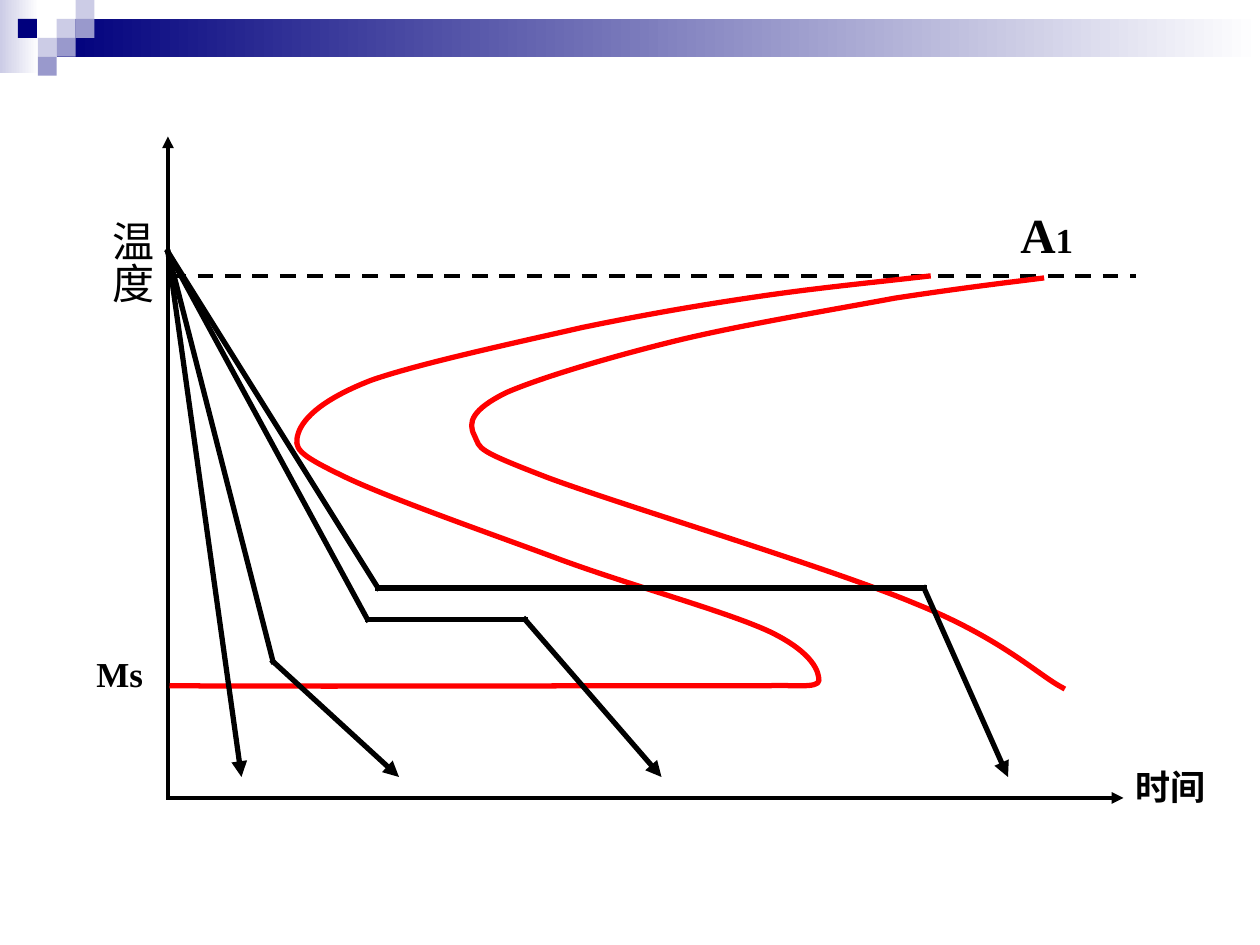
from itertools import pairwise

from lxml.etree import SubElement
from pptx import Presentation
from pptx.dml.color import RGBColor
from pptx.enum.dml import MSO_LINE
from pptx.enum.shapes import MSO_CONNECTOR, MSO_SHAPE
from pptx.enum.text import MSO_AUTO_SIZE
from pptx.oxml.ns import qn
from pptx.util import Inches, Pt

BLACK = RGBColor(0x00, 0x00, 0x00)
WHITE = RGBColor(0xFF, 0xFF, 0xFF)
RED = RGBColor(0xFF, 0x00, 0x00)
NAVY = RGBColor(0x00, 0x00, 0x7D)
LILAC = RGBColor(0xCC, 0xCC, 0xE6)
VIOLET = RGBColor(0x99, 0x99, 0xCC)

COLS = 120
TILE = 1.8
FONT = "Times New Roman"

TILES = [(3, 1, LILAC), (4, 0, LILAC), (4, 1, VIOLET), (2, 2, LILAC),
         (0.95, 1, NAVY), (3, 2, VIOLET), (2, 3, VIOLET)]

START_CURVE = [
    (88.4, 26.3),
    (83.2, 26.9), (78, 27.4), (72.5, 28.2),
    (67, 29), (61.7, 29.9), (55.4, 31.2),
    (49.3, 32.6), (40, 34.6), (35.4, 36.2),
    (31, 37.9), (28.9, 39.7), (28.4, 41.3),
    (28, 42.7), (28.3, 43.2), (32.4, 45.2),
    (36.6, 47.3), (46.7, 50.8), (53.4, 53.3),
    (60.2, 55.8), (69.4, 58.3), (73.4, 60.2),
    (77.5, 62.2), (78, 64), (78, 64.8),
    (78, 65.6), (75.2, 65.2), (73.4, 65.3),
    (71.8, 65.3), (76.9, 65.3), (67.4, 65.3),
    (58, 65.3), (25, 65.4), (16.4, 65.3)]
FINISH_CURVE = [
    (99.2, 26.5),
    (95.2, 27), (91.1, 27.5), (85.2, 28.4),
    (79.3, 29.5), (70.3, 31), (64.2, 32.5),
    (58.1, 34), (51.4, 36), (48.2, 37.4),
    (45, 39), (44.5, 40.2), (45.2, 41.5),
    (45.8, 42.8), (45.2, 42.8), (52.2, 45.5),
    (59.2, 48.1), (79.1, 54.1), (87.2, 57.5),
    (95.4, 60.8), (98.9, 64.3), (101.2, 65.5)]

COOLING_START = (16, 24)
COOLING_PATHS = [
    [(23, 74)],
    [(26, 63), (38, 74)],
    [(35, 59), (50, 59), (63, 74)],
    [(36, 56), (88, 56), (96, 74)]]


class Diagram:
    """Draws styled elements on one slide laid out as a grid of cells."""

    def __init__(self, prs):
        self.s = prs.slides.add_slide(prs.slide_layouts[6])
        self.cell = prs.slide_width / COLS

    def emu(self, *cells):
        return [round(c * self.cell) for c in cells]

    def rect(self, x, y, w, h, color, fade=False):
        sp = self.s.shapes.add_shape(MSO_SHAPE.RECTANGLE, *self.emu(x, y, w, h))
        sp.shadow.inherit = False
        sp.line.fill.background()
        if fade:
            sp.fill.gradient()
            sp.fill.gradient_angle = 0
            for stop, rgb in zip(sp.fill.gradient_stops, (color, WHITE)):
                stop.color.rgb = rgb
        else:
            sp.fill.solid()
            sp.fill.fore_color.rgb = color

    def stroke(self, line, color, width, dash=None):
        line.color.rgb = color
        line.width = Pt(width)
        if dash:
            line.dash_style = dash
        else:
            line._get_or_add_ln().set("cap", "sq")

    def line(self, start, end, width=3, arrow=False, dash=None):
        cx = self.s.shapes.add_connector(
            MSO_CONNECTOR.STRAIGHT, *self.emu(*start, *end))
        self.stroke(cx.line, BLACK, width, dash)
        if arrow:
            SubElement(cx.line._get_or_add_ln(), qn("a:tailEnd"), type="triangle")
        SubElement(cx._element.spPr, qn("a:effectLst"))

    def polyline(self, points):
        for start, end in pairwise(points):
            self.line(start, end, arrow=end == points[-1])

    def curve(self, points):
        first, *rest = [self.emu(*point) for point in points]
        builder = self.s.shapes.build_freeform(*first)
        builder.add_line_segments(rest, close=False)
        sp = builder.convert_to_shape()
        segments = list(sp._element.iter(qn("a:lnTo")))
        for i in range(0, len(segments), 3):
            outline = segments[i].getparent()
            bezier = SubElement(outline, qn("a:cubicBezTo"))
            for segment in segments[i:i + 3]:
                bezier.append(segment[0])
                outline.remove(segment)
        sp.shadow.inherit = False
        sp.fill.background()
        self.stroke(sp.line, RED, 3)

    def label(self, x, y, w, h, runs, bold=True, vertical=False):
        tf = self.s.shapes.add_textbox(*self.emu(x, y, w, h)).text_frame
        tf.word_wrap = False
        tf.auto_size = MSO_AUTO_SIZE.SHAPE_TO_FIT_TEXT
        if vertical:
            tf._txBody.bodyPr.set("vert", "eaVert")
            tf.margin_left = tf.margin_right = Inches(0.05)
            tf.margin_top = tf.margin_bottom = Inches(0.1)
        for text, size in runs:
            r = tf.paragraphs[0].add_run()
            r.text = text
            r.font.name = FONT
            r.font.size = Pt(size)
            r.font.bold = bold
            r.font.color.rgb = BLACK


def main():
    prs = Presentation()
    prs.slide_width, prs.slide_height = Inches(10), Inches(7.5)
    d = Diagram(prs)

    d.rect(0, 0, 3.7, 7, LILAC, fade=True)
    d.rect(3 * TILE, TILE, COLS - 3 * TILE, 2 * TILE, NAVY, fade=True)
    for col, row, color in TILES:
        d.rect(col * TILE, row * TILE, TILE, TILE, color)

    d.label(107, 72.3, 9.6, 5.3, [("时间", 20)])
    d.label(8.4, 19.8, 7.2, 10.4, [("温度", 24)], bold=False, vertical=True)
    d.label(8, 61.6, 7.4, 5.3, [("Ms", 20)])
    d.line((16, 76), (16, 13), 2.25, arrow=True)
    d.line((16, 76), (107, 76), 2.25, arrow=True)
    d.line((16.2, 26.25), (108.2, 26.25), 2.25, dash=MSO_LINE.DASH)
    d.label(96, 18.9, 7.6, 6.8, [("A", 28), ("1", 20)])

    d.curve(START_CURVE)
    d.curve(FINISH_CURVE)
    for points in COOLING_PATHS:
        d.polyline([COOLING_START, *points])

    d.rect(0, 77.2, 114.8, 10.4, WHITE)

    prs.save("out.pptx")


if __name__ == "__main__":
    main()
